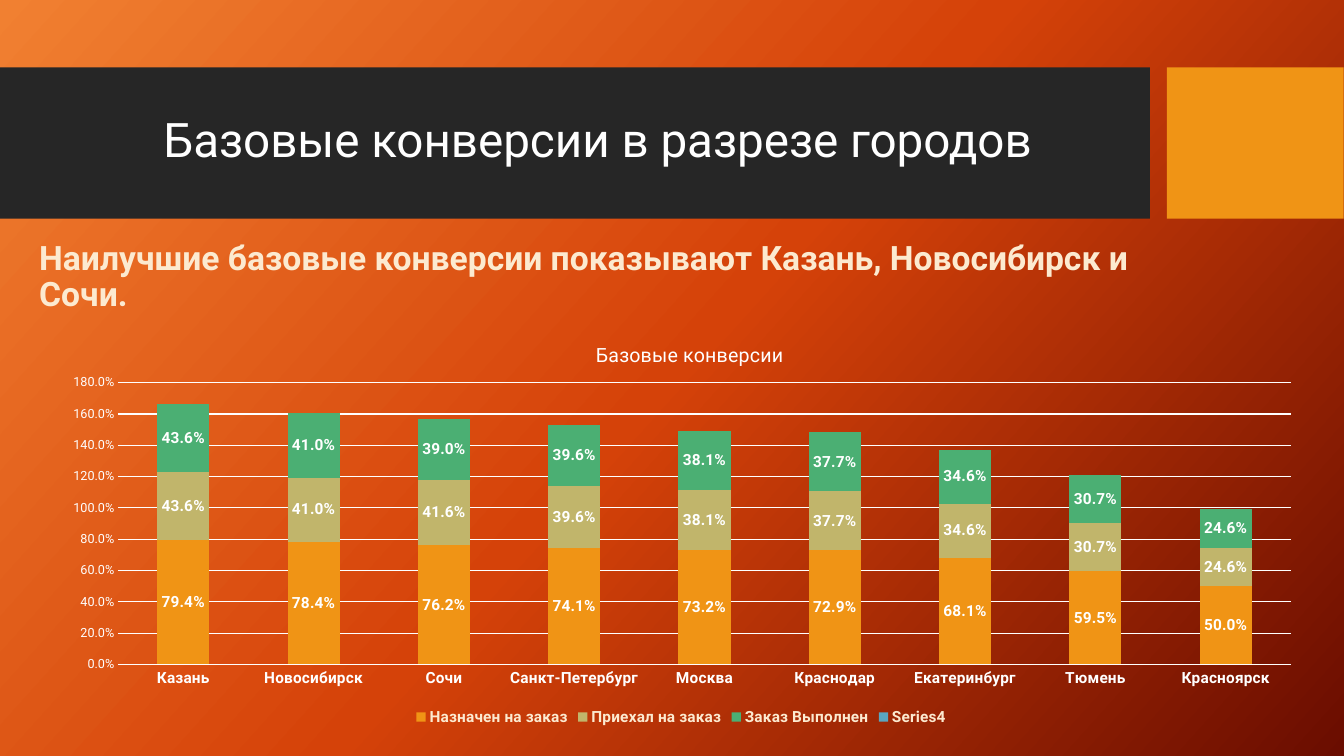
from copy import deepcopy

from lxml.etree import SubElement
from pptx import Presentation
from pptx.chart.data import CategoryChartData
from pptx.dml.color import RGBColor
from pptx.enum.chart import XL_CHART_TYPE as ChartType
from pptx.enum.chart import XL_LEGEND_POSITION as LegendPosition
from pptx.enum.chart import XL_TICK_MARK as TickMark
from pptx.enum.shapes import MSO_SHAPE as Preset
from pptx.enum.text import MSO_ANCHOR as Anchor
from pptx.enum.text import MSO_AUTO_SIZE as AutoSize
from pptx.enum.text import PP_ALIGN as Align
from pptx.oxml.ns import qn
from pptx.util import Cm, Pt

FONT = "Roboto"
WHITE, CREAM, ORANGE, CHARCOAL = "FFFFFF", "FCEAD0", "F09415", "262626"
CITIES = ["Казань", "Новосибирск", "Сочи", "Санкт-Петербург", "Москва",
          "Краснодар", "Екатеринбург", "Тюмень", "Красноярск"]
SERIES = [
    ("Назначен на заказ", ORANGE,
     [0.794, 0.784, 0.762, 0.741, 0.732, 0.729, 0.681, 0.595, 0.5]),
    ("Приехал на заказ", "C1B56B",
     [0.436, 0.41, 0.416, 0.396, 0.381, 0.377, 0.346, 0.307, 0.246]),
    ("Заказ Выполнен", "4BAF73",
     [0.436, 0.41, 0.39, 0.396, 0.381, 0.377, 0.346, 0.307, 0.246]),
    ("Series4", "5AA6C0", [None] * 7 + [0, None]),
]


def color(value):
    """Return the colour for a hex string."""
    return RGBColor.from_string(value)


def style_font(font, size, value=WHITE, bold=False):
    """Apply the slide's typeface with a size, colour and weight."""
    font.name, font.size, font.bold = FONT, Pt(size), bold
    font.color.rgb = color(value)


def paint_background(slide, stops, angle):
    """Fill the background with a three-stop gradient turned clockwise."""
    fill = slide.background.fill
    fill.gradient()
    first = fill.gradient_stops[0]._gs
    first.addnext(deepcopy(first))
    fill.gradient_angle = 360 - angle
    for stop, (position, value) in zip(fill.gradient_stops, stops):
        stop.position = position
        stop.color.rgb = color(value)


def add_block(slide, left, top, width, height, value):
    """Add a plain filled rectangle."""
    shape = slide.shapes.add_shape(
        Preset.RECTANGLE, Cm(left), Cm(top), Cm(width), Cm(height))
    shape.shadow.inherit = False
    shape.fill.solid()
    shape.fill.fore_color.rgb = color(value)
    shape.line.fill.background()


def write_text(shape, box, text, size, value, anchor, align, bold=False):
    """Place a text shape in its box and set its formatted text."""
    shape.left, shape.top, shape.width, shape.height = map(Cm, box)
    frame = shape.text_frame
    frame.text = text
    frame.word_wrap = True
    frame.auto_size = AutoSize.NONE
    frame.vertical_anchor = anchor
    paragraph = frame.paragraphs[0]
    paragraph.alignment = align
    paragraph.line_spacing = 0.9
    style_font(paragraph.runs[0].font, size, value, bold)


def add_header(slide, top, height):
    """Build the dark title band and the accent block beside it."""
    add_block(slide, 0, top, 28.98, height, CHARCOAL)
    add_block(slide, 29.41, top, 4.45, height, ORANGE)
    title = slide.shapes.title
    slide.shapes._spTree.append(title._element)
    write_text(title, (0.33, top + 0.38, 29.77, 3),
               "Базовые конверсии в разрезе городов ", 34, WHITE,
               Anchor.MIDDLE, Align.CENTER)


def add_summary(slide, *box):
    """Add the conclusion above the chart."""
    shape = slide.shapes.add_textbox(*map(Cm, box))
    write_text(shape, box,
               "Наилучшие базовые конверсии показывают Казань, Новосибирск и Сочи.",
               24, CREAM, Anchor.BOTTOM, Align.LEFT, True)


def set_layout(parent, index, **settings):
    """Give a chart part a manual layout in fractions of the chart."""
    for old in parent.findall(qn("c:layout")):
        parent.remove(old)
    layout = SubElement(parent, qn("c:layout"))
    parent.insert(index, layout)
    manual = SubElement(layout, qn("c:manualLayout"))
    for name, value in settings.items():
        SubElement(manual, qn(f"c:{name}")).set("val", str(value))


def style_axes(chart):
    """Format the city axis, the percentage axis and its gridlines."""
    cities, shares = chart.category_axis, chart.value_axis
    for axis, size, bold in ((cities, 11, True), (shares, 9, False)):
        axis.major_tick_mark = axis.minor_tick_mark = TickMark.NONE
        style_font(axis.tick_labels.font, size, bold=bold)
    shares.minimum_scale, shares.maximum_scale, shares.major_unit = 0, 1.8, 0.2
    shares.tick_labels.number_format = "0.0%"
    shares.tick_labels.number_format_is_linked = False
    shares.has_major_gridlines = True
    shares.format.line.fill.background()
    for line in (cities.format.line, shares.major_gridlines.format.line):
        line.color.rgb = color(WHITE)
        line.width = Pt(0.75)


def style_series(series, value):
    """Colour a series and label its values where it has bars."""
    series.format.fill.solid()
    series.format.fill.fore_color.rgb = color(value)
    if any(series.values):
        labels = series.data_labels
        labels.show_value = True
        labels.number_format = "0.0%"
        labels.number_format_is_linked = False
        style_font(labels.font, 11, bold=True)


def add_conversions(slide, *box):
    """Add the stacked chart of conversions by city."""
    data = CategoryChartData(number_format="0.0%")
    data.categories = CITIES
    for name, _, values in SERIES:
        data.add_series(name, values)
    chart = slide.shapes.add_chart(
        ChartType.COLUMN_STACKED, *map(Cm, box), data).chart
    style_font(chart.font, 10)
    chart.has_title = True
    title = chart.chart_title
    title.text_frame.text = "Базовые конверсии"
    style_font(title.text_frame.paragraphs[0].runs[0].font, 14)
    set_layout(title._element, 1, xMode="edge", yMode="edge", x=0.43, y=0.05)
    set_layout(chart._chartSpace.chart.plotArea, 0, layoutTarget="inner",
               xMode="edge", yMode="edge", x=0.056, y=0.158, w=0.925, h=0.682)
    chart.has_legend = True
    chart.legend.position = LegendPosition.BOTTOM
    chart.legend.include_in_layout = False
    style_font(chart.legend.font, 11, CREAM, True)
    style_axes(chart)
    plot = chart.plots[0]
    plot.gap_width, plot.overlap, plot.vary_by_categories = 150, 100, False
    for series, (_, value, _) in zip(plot.series, SERIES):
        style_series(series, value)


def main():
    """Build and save the slide."""
    presentation = Presentation()
    presentation.slide_width, presentation.slide_height = Cm(33.87), Cm(19.05)
    slide = presentation.slides.add_slide(presentation.slide_layouts[5])
    paint_background(
        slide, [(0, "F18031"), (0.5, "D54209"), (1, "6A0D00")], 42)
    add_header(slide, 1.7, 3.81)
    add_summary(slide, 0.74, 5.72, 28.78, 2.31)
    add_conversions(slide, 1.19, 8, 31.95, 10.41)
    presentation.save("out.pptx")


main()
